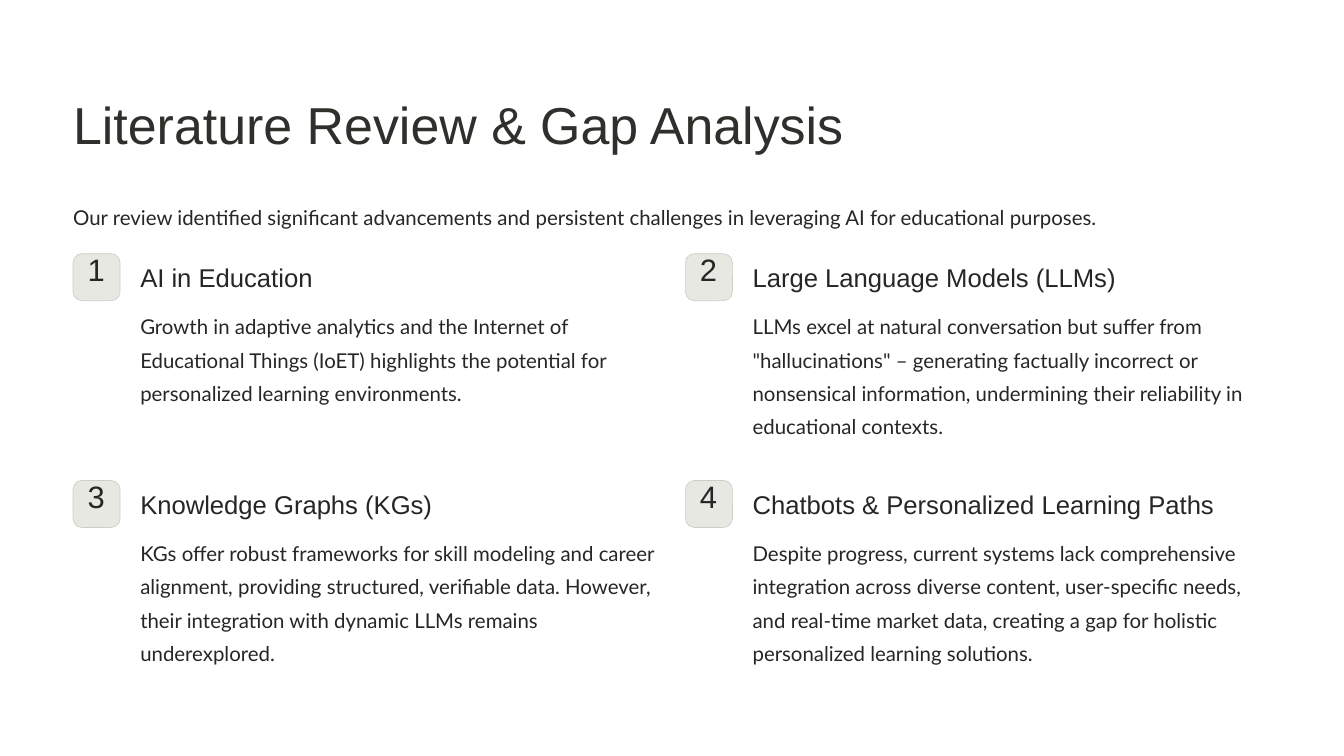
from dataclasses import dataclass

from lxml import etree
from pptx import Presentation
from pptx.dml.color import RGBColor
from pptx.enum.shapes import MSO_SHAPE
from pptx.enum.text import MSO_ANCHOR, MSO_AUTO_SIZE, PP_ALIGN
from pptx.oxml.ns import qn
from pptx.util import Inches, Pt

ROUNDED = MSO_SHAPE.ROUNDED_RECTANGLE
TOP = MSO_ANCHOR.TOP
NO_AUTOFIT = MSO_AUTO_SIZE.NONE
LEFT, CENTER = PP_ALIGN.LEFT, PP_ALIGN.CENTER


@dataclass(frozen=True)
class Style:
    font: str
    size: float
    leading: float
    color: RGBColor


@dataclass(frozen=True)
class Theme:
    ink = RGBColor(0x27, 0x25, 0x25)
    badge_fill = RGBColor(0xE8, 0xE8, 0xE3)
    badge_line = RGBColor(0xCE, 0xCE, 0xC9)
    title = Style("Arial", 44.5, 55.5, RGBColor(0x31, 0x2F, 0x2B))
    heading = Style("Arial", 22, 27.5, ink)
    number = Style("Arial", 26.5, 26.5, ink)
    body = Style("Lato", 17.5, 28.5, ink)


theme = Theme()


def write(box, text, style, align=LEFT, wrap=False):
    """Put one paragraph into a box that has no margins."""
    frame = box.text_frame
    frame.margin_left = frame.margin_top = frame.margin_right = frame.margin_bottom = 0
    frame.auto_size = NO_AUTOFIT
    frame.word_wrap = wrap
    frame.vertical_anchor = TOP
    paragraph = frame.paragraphs[0]
    paragraph.alignment = align
    paragraph.line_spacing = Pt(style.leading)
    paragraph.space_before = Pt(0)
    run = paragraph.add_run()
    run.text = text
    run.font.name = style.font
    run.font.size = Pt(style.size)
    run.font.color.rgb = style.color


def place(box, left, top, width, height):
    box.left, box.top = Inches(left), Inches(top)
    box.width, box.height = Inches(width), Inches(height)


prs = Presentation()
prs.slide_width, prs.slide_height = Inches(16), Inches(9)
slide = prs.slides.add_slide(prs.slide_layouts[1])
shapes = slide.shapes

# Title and introduction
title = shapes.title
place(title, 0.87, 1.07, 9.19, 0.78)
write(title, "Literature Review & Gap Analysis", theme.title)

intro = slide.placeholders[1]
place(intro, 0.87, 2.34, 14.26, 0.4)
intro_format = intro.text_frame.paragraphs[0]._p.get_or_add_pPr()
intro_format.set("marL", "0")
intro_format.set("indent", "0")
etree.SubElement(intro_format, qn("a:buNone"))
write(intro, "Our review identified significant advancements and persistent challenges "
      "in leveraging AI for educational purposes.", theme.body)

# Four numbered findings: heading, heading width, description, description height
findings = [
    ("AI in Education", 3.1,
     "Growth in adaptive analytics and the Internet of Educational Things (IoET) "
     "highlights the potential for personalized learning environments.", 1.19),
    ("Large Language Models (LLMs)", 4.36,
     "LLMs excel at natural conversation but suffer from \"hallucinations\" – "
     "generating factually incorrect or nonsensical information, undermining "
     "their reliability in educational contexts.", 1.59),
    ("Knowledge Graphs (KGs)", 3.47,
     "KGs offer robust frameworks for skill modeling and career alignment, "
     "providing structured, verifiable data. However, their integration with "
     "dynamic LLMs remains underexplored.", 1.59),
    ("Chatbots & Personalized Learning Paths", 5.5,
     "Despite progress, current systems lack comprehensive integration across "
     "diverse content, user-specific needs, and real-time market data, creating "
     "a gap for holistic personalized learning solutions.", 1.59),
]
GRID_LEFT, GRID_TOP = 0.87, 3.02
COLUMN_STEP, ROW_STEP = 7.29, 2.7
BADGE_SIZE, TEXT_OFFSET = 0.56, 0.8

for index, (heading, heading_width, description, description_height) in enumerate(findings):
    row, column = divmod(index, 2)
    left = GRID_LEFT + column * COLUMN_STEP
    top = GRID_TOP + row * ROW_STEP
    text_left = left + TEXT_OFFSET

    # Badge
    badge = shapes.add_shape(ROUNDED, Inches(left), Inches(top),
                             Inches(BADGE_SIZE), Inches(BADGE_SIZE))
    badge.adjustments[0] = 0.19
    badge.shadow.inherit = False
    badge.fill.solid()
    badge.fill.fore_color.rgb = theme.badge_fill
    badge.line.color.rgb = theme.badge_line
    badge.line.width = Pt(0.6)

    # Number, heading and description
    for text, style, align, wrap, bounds in [
        (str(index + 1), theme.number, CENTER, False, (left + 0.09, top + 0.04, 0.37, 0.47)),
        (heading, theme.heading, LEFT, False, (text_left, top + 0.08, heading_width, 0.39)),
        (description, theme.body, LEFT, True,
         (text_left, top + 0.62, 6.17, description_height)),
    ]:
        write(shapes.add_textbox(*map(Inches, bounds)), text, style, align, wrap)

prs.save("out.pptx")
